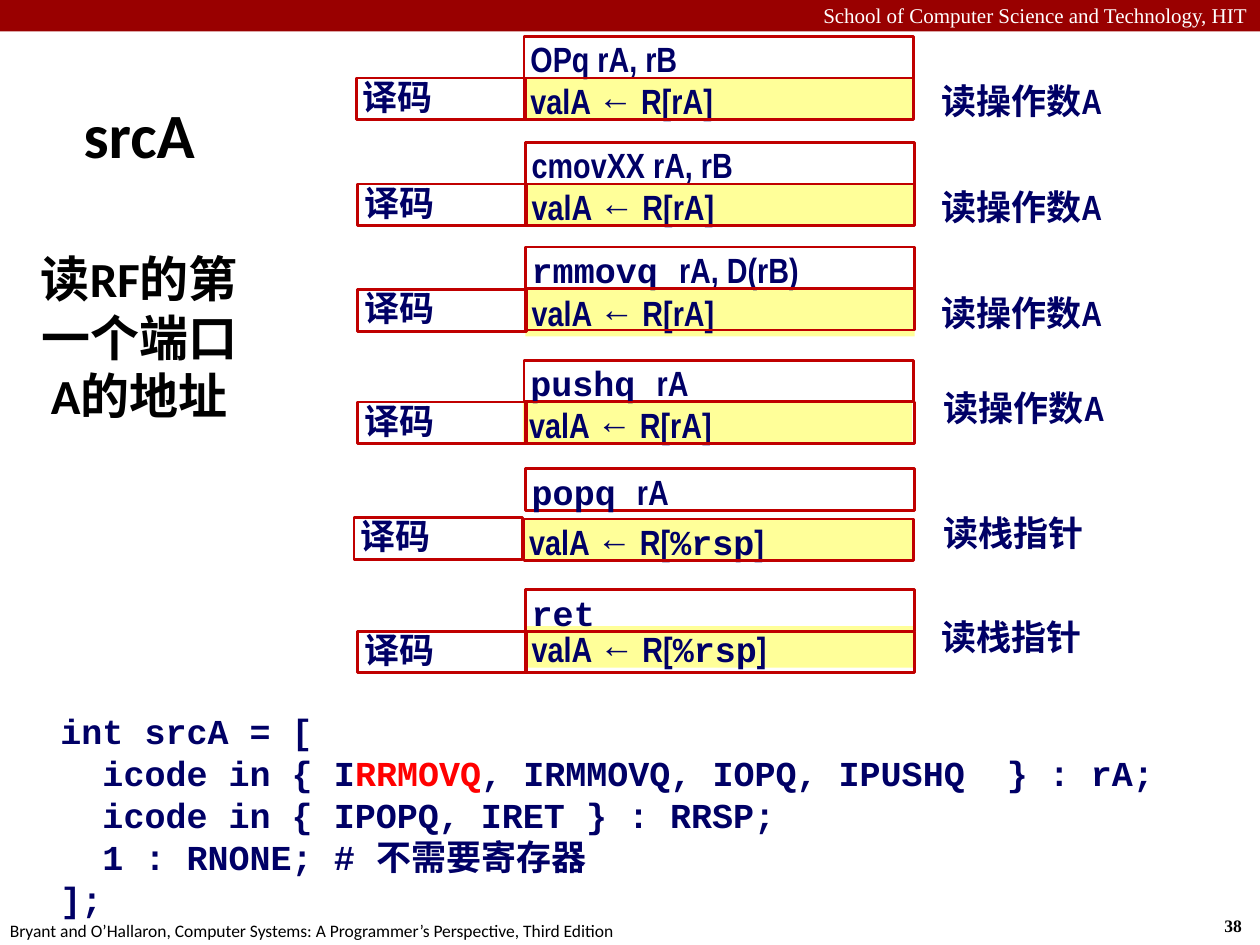
from dataclasses import dataclass

from pptx import Presentation
from pptx.dml.color import RGBColor
from pptx.enum.shapes import MSO_SHAPE
from pptx.enum.text import MSO_ANCHOR, MSO_AUTO_SIZE, PP_ALIGN
from pptx.util import Inches, Pt


@dataclass(frozen=True)
class Theme:
    banner: str = "990000"
    frame: str = "C00000"
    highlight: str = "FFFF99"
    ink: str = "000066"
    accent: str = "FF0000"
    black: str = "000000"
    white: str = "FFFFFF"
    body_font: str = "Arial Narrow"
    code_font: str = "Courier New"
    title_font: str = "Calibri"
    serif_font: str = "Times New Roman"
    title_size: int = 36
    subtitle_size: int = 28
    body_size: int = 20
    banner_size: int = 12
    footer_size: int = 10
    frame_width: float = 1.5


@dataclass(frozen=True)
class Grid:
    """Columns and row height of the instruction table, in inches."""
    decode: float = 2.84
    value: float = 4.17
    note: float = 7.42
    decode_width: float = 1.34
    value_width: float = 3.09
    note_width: float = 1.43
    row: float = 0.33


@dataclass(frozen=True)
class Stage:
    """One instruction; top is the decode row, the shifts are offsets from the grid."""
    top: float
    instruction: list
    value: list
    note: str
    header_shift: tuple = (0, 0)
    decode_shift: tuple = (0, 0)
    fill_shift: tuple = (0, 0)
    frame_shift: tuple = (0, 0)
    note_shift: tuple = (0, 0)
    fill_extra: float = 0


THEME = Theme()
GRID = Grid()
CODE = {"font": THEME.code_font}
READ_REGISTER = ["valA ← R[rA]"]
READ_STACK = ["valA ← R[", ("%rsp", CODE), "]"]
OPERAND, POINTER = "读操作数A", "读栈指针"

STAGES = [
    Stage(0.62, ["OPq rA, rB"], READ_REGISTER, OPERAND, header_shift=(-0.01, 0),
          decode_shift=(-0.01, 0), fill_shift=(-0.01, 0), frame_shift=(-0.01, 0)),
    Stage(1.46, ["cmovXX rA, rB"], READ_REGISTER, OPERAND),
    Stage(2.3, [("rmmovq ", CODE), "rA, D(rB)"], READ_REGISTER, OPERAND,
          header_shift=(0, -0.01), frame_shift=(0, -0.01), fill_extra=0.04),
    Stage(3.19, [("pushq ", CODE), "rA"], READ_REGISTER, OPERAND,
          header_shift=(-0.01, 0), fill_shift=(-0.02, 0), note_shift=(0.02, -0.13)),
    Stage(4.12, [("popq ", CODE), "rA"], READ_STACK, POINTER, header_shift=(0, -0.07),
          decode_shift=(-0.03, -0.01), fill_shift=(-0.02, 0),
          frame_shift=(-0.01, 0), note_shift=(0.02, -0.07)),
    Stage(5.01, [("ret", CODE)], READ_STACK, POINTER,
          fill_shift=(0, -0.04), note_shift=(0, -0.14)),
]

SOURCE_CODE = [
    ["int srcA = ["],
    ["  icode in { I", ("RRMOVQ", {"color": THEME.accent}), ", IRMMOVQ, IOPQ, IPUSHQ  } : rA;"],
    ["  icode in { IPOPQ, IRET } : RRSP;"],
    ["  1 : RNONE; # 不需要寄存器"],
    ["];"],
]


def write_text(shape, paragraphs, *, font=THEME.body_font, size=THEME.body_size,
               color=THEME.ink, bold=True, align=PP_ALIGN.LEFT, anchor=MSO_ANCHOR.TOP,
               inset=0.05, line_spacing=None, gap=0, wrap=True):
    """Fill a shape with paragraphs, each a list of strings or (string, overrides)."""
    frame = shape.text_frame
    frame.word_wrap = wrap
    frame.auto_size = MSO_AUTO_SIZE.NONE
    frame.vertical_anchor = anchor
    frame.margin_left = frame.margin_right = Inches(inset)
    frame.margin_top = frame.margin_bottom = Inches(0.05)
    for index, runs in enumerate(paragraphs):
        paragraph = frame.add_paragraph() if index else frame.paragraphs[0]
        paragraph.alignment = align
        paragraph.space_before = Pt(gap if index else 0)
        if line_spacing:
            paragraph.line_spacing = line_spacing
        for item in runs:
            text, changes = (item, {}) if isinstance(item, str) else item
            run = paragraph.add_run()
            run.text = text
            run.font.name = changes.get("font", font)
            run.font.size = Pt(changes.get("size", size))
            run.font.bold = bold
            run.font.color.rgb = RGBColor.from_string(changes.get("color", color))


def add_box(slide, left, top, width, height, fill=None, line=None):
    shape = slide.shapes.add_shape(
        MSO_SHAPE.RECTANGLE, Inches(left), Inches(top), Inches(width), Inches(height))
    shape.shadow.inherit = False
    if fill:
        shape.fill.solid()
        shape.fill.fore_color.rgb = RGBColor.from_string(fill)
    else:
        shape.fill.background()
    if line:
        shape.line.color.rgb = RGBColor.from_string(line)
        shape.line.width = Pt(THEME.frame_width)
    else:
        shape.line.fill.background()
    return shape


def add_label(slide, left, top, width, height, paragraphs, **text_format):
    label = slide.shapes.add_textbox(Inches(left), Inches(top), Inches(width), Inches(height))
    write_text(label, paragraphs, **text_format)


def add_title(slide):
    title = slide.shapes.title
    title.left, title.top = Inches(0.12), Inches(0.37)
    title.width, title.height = Inches(1.97), Inches(3.39)
    write_text(title, [["srcA"], [("读RF的第一个端口A的地址", {"size": THEME.subtitle_size})]],
               font=THEME.title_font, size=THEME.title_size, color=THEME.black,
               align=PP_ALIGN.CENTER, anchor=MSO_ANCHOR.MIDDLE, inset=0.1, gap=44)


def add_banner_and_footer(slide):
    add_box(slide, 0, 0, 10, 0.25, fill=THEME.banner)
    add_label(slide, 0, -0.03, 10, 0.3, [["School of Computer Science and Technology, HIT"]],
              font=THEME.serif_font, size=THEME.banner_size, color=THEME.white,
              bold=False, align=PP_ALIGN.RIGHT, inset=0.1)
    footer = {"size": THEME.footer_size, "color": THEME.black, "inset": 0.1, "wrap": False}
    add_label(slide, 9.62, 7.21, 0.37, 0.27, [["38"]], font=THEME.serif_font, **footer)
    add_label(slide, -0.02, 7.25, 5.08, 0.27,
              [["Bryant and O’Hallaron, Computer Systems: "
                "A Programmer’s Perspective, Third Edition"]],
              font=THEME.title_font, bold=False, **footer)


def add_stage(slide, stage):
    def place(column, width, shift, rows_up=0, extra=0):
        return (column + shift[0], stage.top + shift[1] - rows_up * GRID.row,
                width, GRID.row + extra)

    value = add_box(slide, *place(GRID.value, GRID.value_width, stage.fill_shift,
                                  extra=stage.fill_extra), fill=THEME.highlight)
    write_text(value, [stage.value], line_spacing=0.9)
    header = add_box(slide, *place(GRID.value, GRID.value_width, stage.header_shift, rows_up=1),
                     line=THEME.frame)
    write_text(header, [stage.instruction], line_spacing=0.9)
    decode = add_box(slide, *place(GRID.decode, GRID.decode_width, stage.decode_shift),
                     line=THEME.frame)
    write_text(decode, [["译码"]], line_spacing=0.9, anchor=MSO_ANCHOR.MIDDLE)
    add_box(slide, *place(GRID.value, GRID.value_width, stage.frame_shift), line=THEME.frame)
    add_label(slide, *place(GRID.note, GRID.note_width, stage.note_shift),
              [[stage.note]], line_spacing=0.9)


def main():
    presentation = Presentation()
    presentation.slide_width, presentation.slide_height = Inches(10), Inches(7.5)
    slide = presentation.slides.add_slide(presentation.slide_layouts.get_by_name("Title Only"))
    add_banner_and_footer(slide)
    add_title(slide)
    add_label(slide, 0.43, 5.58, 8.88, 1.78, SOURCE_CODE, font=THEME.code_font)
    for stage in STAGES:
        add_stage(slide, stage)
    presentation.save("out.pptx")


if __name__ == "__main__":
    main()
